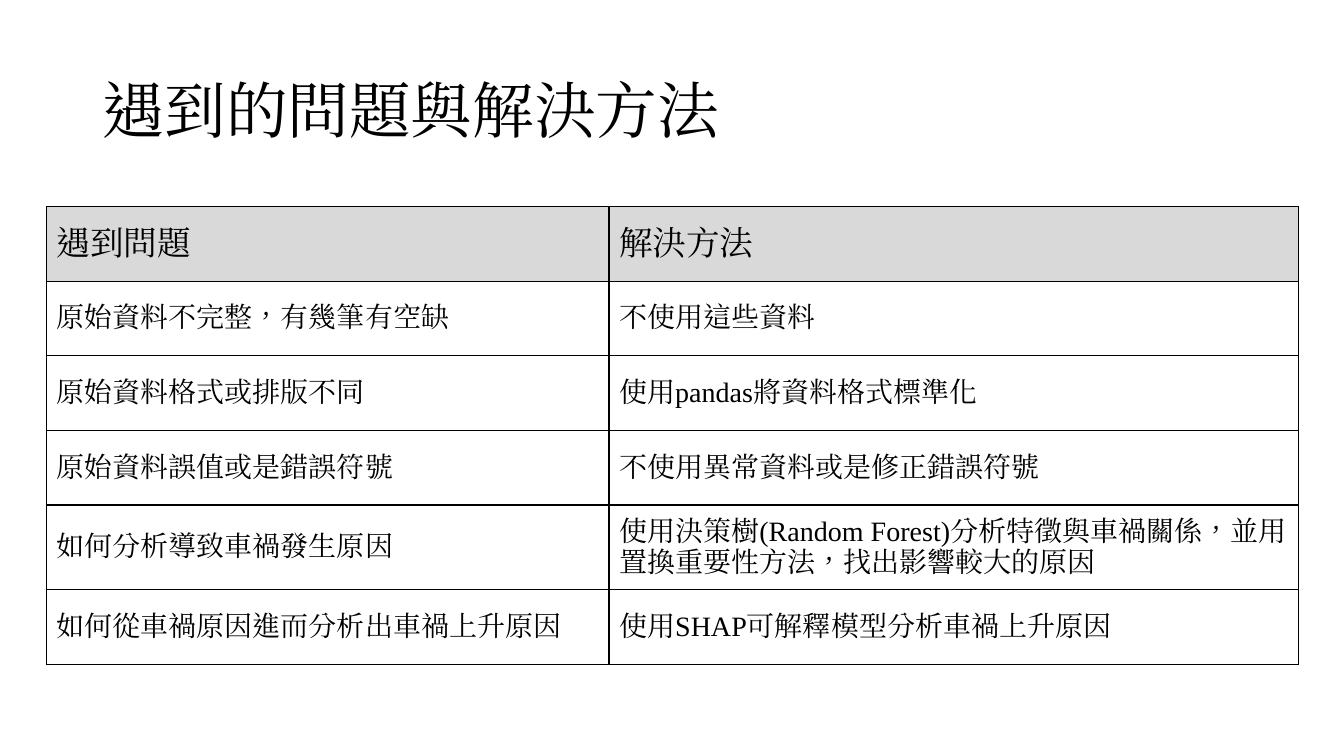
from dataclasses import dataclass

from lxml.etree import SubElement
from pptx import Presentation
from pptx.dml.color import RGBColor
from pptx.enum.lang import MSO_LANGUAGE_ID as Lang
from pptx.enum.text import MSO_ANCHOR as Anchor, MSO_AUTO_SIZE as AutoSize, PP_ALIGN as Align
from pptx.oxml.ns import qn
from pptx.util import Inches, Pt


@dataclass(frozen=True)
class Theme:
    font: str = "Times New Roman"
    ink: str = "000000"
    header_fill: str = "D9D9D9"
    body_fill: str = "FFFFFF"
    title_size: int = 44
    header_size: int = 24
    body_size: int = 20
    border: float = 1


THEME = Theme()
TITLE = "遇到的問題與解決方法"
HEADER = ("遇到問題", "解決方法")
SOLUTIONS = [
    ("原始資料不完整，有幾筆有空缺", "不使用這些資料"),
    ("原始資料格式或排版不同", "使用pandas將資料格式標準化"),
    ("原始資料誤值或是錯誤符號", "不使用異常資料或是修正錯誤符號"),
    ("如何分析導致車禍發生原因",
     "使用決策樹(Random Forest)分析特徵與車禍關係，並用置換重要性方法，找出影響較大的原因"),
    ("如何從車禍原因進而分析出車禍上升原因", "使用SHAP可解釋模型分析車禍上升原因"),
]
COLUMN_WIDTHS = (5.58, 6.84)
ROW_HEIGHT, TALL_ROW_HEIGHT, TALL_ROW = 0.74, 0.84, 4


def write_text(frame, text, *, size, color=THEME.ink, spacing=None):
    frame.word_wrap = True
    paragraph = frame.paragraphs[0]
    paragraph.alignment = Align.LEFT
    paragraph.line_spacing = spacing
    run = paragraph.add_run()
    run.text = text
    font = run.font
    font.name, font.size = THEME.font, Pt(size)
    font.color.rgb = RGBColor.from_string(color)
    font.language_id = Lang.TRADITIONAL_CHINESE
    # East Asian typeface follows the Latin one
    SubElement(run._r.get_or_add_rPr(), qn("a:ea"), typeface=THEME.font)


def add_borders(cell):
    properties = cell._tc.get_or_add_tcPr()
    for side in ("lnL", "lnR", "lnT", "lnB"):
        line = SubElement(properties, qn(f"a:{side}"), w=str(Pt(THEME.border)))
        fill = SubElement(line, qn("a:solidFill"))
        SubElement(fill, qn("a:srgbClr"), val=THEME.ink)


def place_title(slide, left, top, width, height):
    title = slide.shapes.title
    title.left, title.top = Inches(left), Inches(top)
    title.width, title.height = Inches(width), Inches(height)
    frame = title.text_frame
    frame.auto_size = AutoSize.NONE
    frame.vertical_anchor = Anchor.MIDDLE
    write_text(frame, TITLE, size=THEME.title_size, spacing=0.9)


def place_solutions_table(slide, left, top, width, height):
    rows = [HEADER, *SOLUTIONS]
    table = slide.shapes.add_table(
        len(rows), len(HEADER), Inches(left), Inches(top), Inches(width), Inches(height)
    ).table
    table.horz_banding = False

    # Column and row sizes
    for column, share in zip(table.columns, COLUMN_WIDTHS):
        column.width = Inches(width * share / sum(COLUMN_WIDTHS))
    for index, row in enumerate(table.rows):
        row.height = Inches(TALL_ROW_HEIGHT if index == TALL_ROW else ROW_HEIGHT)

    # Cells: borders come before the fill in the cell properties
    for r, texts in enumerate(rows):
        size = THEME.body_size if r else THEME.header_size
        fill = THEME.body_fill if r else THEME.header_fill
        for c, text in enumerate(texts):
            cell = table.cell(r, c)
            add_borders(cell)
            cell.fill.solid()
            cell.fill.fore_color.rgb = RGBColor.from_string(fill)
            cell.vertical_anchor = Anchor.MIDDLE
            write_text(cell.text_frame, text, size=size)
    table.first_row = False


def main():
    deck = Presentation()
    deck.slide_width, deck.slide_height = Inches(13.33), Inches(7.5)
    slide = deck.slides.add_slide(deck.slide_layouts[5])
    place_title(slide, 0.92, 0.4, 11.5, 1.45)
    place_solutions_table(slide, 0.46, 2.05, sum(COLUMN_WIDTHS), 4.54)
    deck.save("out.pptx")


if __name__ == "__main__":
    main()
